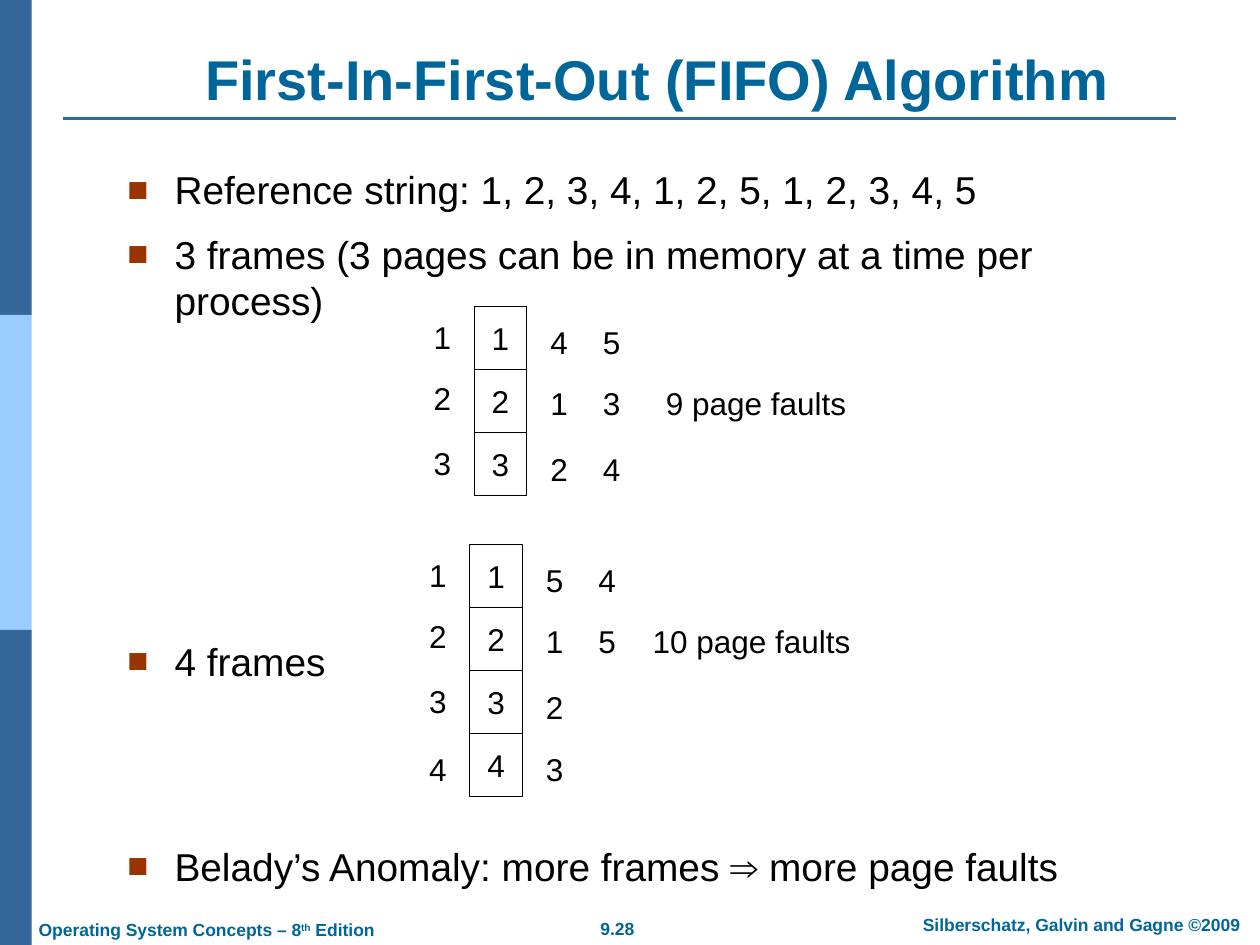
from lxml import etree
from pptx import Presentation
from pptx import util as u
from pptx.dml.color import RGBColor
from pptx.enum import shapes, text
from pptx.oxml import ns

FONT = "Arial"
TEAL, BLUE, SKY = "006699", "336699", "99CCFF"
BLACK, WHITE, RUST = "000000", "FFFFFF", "993300"
CELL_WIDTH, CELL_HEIGHT = 1.06, 1.27
NUMBER_WIDTH, NUMBER_HEIGHT = 0.86, 1.02
LABEL_ROWS = (0.11, 1.33, 2.65, 4.02)
VALUE_ROWS = (0.21, 1.44, 2.76, 4.02)
LABEL_OFFSET, VALUE_OFFSET, VALUE_STEP = -1.07, 1.28, 1.06


def color(code):
    return RGBColor.from_string(code)


def cm(*lengths):
    return [u.Cm(length) for length in lengths]


def style(span, size, code, bold=False):
    span.font.name = FONT
    span.font.size = u.Pt(size)
    span.font.bold = bold
    span.font.color.rgb = color(code)


def add_text(page, box, words, size, code=BLACK, bold=False,
             align=text.PP_ALIGN.CENTER, anchor=text.MSO_ANCHOR.MIDDLE, wrap=False):
    frame = page.shapes.add_textbox(*cm(*box)).text_frame
    frame.word_wrap = wrap
    frame.vertical_anchor = anchor
    frame.text = words
    para = frame.paragraphs[0]
    para.alignment = align
    style(para.runs[0], size, code, bold)
    return para


def add_rectangle(page, box, fill, line=None):
    shape = page.shapes.add_shape(shapes.MSO_SHAPE.RECTANGLE, *cm(*box))
    shape.shadow.inherit = False
    shape.fill.solid()
    shape.fill.fore_color.rgb = color(fill)
    if line:
        shape.line.color.rgb = color(line)
        shape.line.width = u.Pt(0.75)
    else:
        shape.line.fill.background()
    return shape


def add_sidebar(page, left, top, width, height):
    band = height / 3
    for row, fill in enumerate((BLUE, SKY, BLUE)):
        add_rectangle(page, (left, top + row * band, width, band), fill)


def add_title(page, left, top, width, height):
    add_text(page, (left, top, width, height), "First-In-First-Out (FIFO) Algorithm",
             32, TEAL, True, anchor=text.MSO_ANCHOR.BOTTOM)
    rule_y = top + height + 0.02
    rule = page.shapes.add_connector(
        shapes.MSO_CONNECTOR.STRAIGHT, *cm(1.27, rule_y, 23.7, rule_y))
    rule.line.color.rgb = color(BLUE)
    rule.line.width = u.Pt(1.5)
    etree.SubElement(rule._element.spPr, ns.qn("a:effectLst"))


def add_bullet(para):
    properties = para._p.get_or_add_pPr()
    properties.set("marL", str(u.Cm(0.95)))
    properties.set("indent", str(u.Cm(-0.95)))
    bullet_color = etree.SubElement(properties, ns.qn("a:buClr"))
    etree.SubElement(bullet_color, ns.qn("a:srgbClr"), val=RUST)
    etree.SubElement(properties, ns.qn("a:buSzPct"), val="90000")
    etree.SubElement(properties, ns.qn("a:buFont"), typeface=FONT)
    etree.SubElement(properties, ns.qn("a:buChar"), char="■")


def add_points(page, left, top, width, height):
    """Bulleted statements; the large gaps leave room for the frame diagrams."""
    points = (
        ("Reference string: 1, 2, 3, 4, 1, 2, 5, 1, 2, 3, 4, 5", 0),
        ("3 frames (3 pages can be in memory at a time per process)", 10.5),
        ("4 frames", 180),
        ("Belady’s Anomaly: more frames ⇒ more page faults", 91),
    )
    frame = page.shapes.add_textbox(*cm(left, top, width, height)).text_frame
    frame.word_wrap = True
    for index, (words, gap) in enumerate(points):
        para = frame.add_paragraph() if index else frame.paragraphs[0]
        para.text = words
        add_bullet(para)
        para.line_spacing = u.Pt(26.3)
        para.space_before = u.Pt(gap)
        style(para.runs[0], 22.2, BLACK)


def add_frames(page, left, top, columns, caption, caption_box):
    """Stack of memory frames with row labels, later pages and a fault count."""
    labels, *values = columns
    for row, label in enumerate(labels):
        cell = add_rectangle(
            page, (left, top + row * CELL_HEIGHT, CELL_WIDTH, CELL_HEIGHT), WHITE, BLACK)
        frame = cell.text_frame
        frame.word_wrap = False
        frame.vertical_anchor = text.MSO_ANCHOR.MIDDLE
        frame.text = label
        frame.paragraphs[0].alignment = text.PP_ALIGN.CENTER
        style(frame.paragraphs[0].runs[0], 18, BLACK)
    placed = [(labels, LABEL_OFFSET, LABEL_ROWS)]
    placed += [(column, VALUE_OFFSET + index * VALUE_STEP, VALUE_ROWS)
               for index, column in enumerate(values)]
    for column, offset, rows in placed:
        for number, row_y in zip(column, rows):
            add_text(page, (left + offset, top + row_y, NUMBER_WIDTH, NUMBER_HEIGHT),
                     number, 18)
    offset, width = caption_box
    add_text(page, (left + offset, top + VALUE_ROWS[1], width, NUMBER_HEIGHT), caption, 18)


def add_footer(page, left, top):
    def note(x, y, width, words, align=text.PP_ALIGN.CENTER):
        return add_text(page, (left + x, top + y, width, 0.69), words, 10, TEAL, True,
                        align, text.MSO_ANCHOR.TOP, wrap=True)

    note(10.67, 0.09, 2.49, "9.28")
    note(17.4, 0.02, 7.74, "Silberschatz, Galvin and Gagne ©2009")
    edition = note(0, 0.12, 8.2, "Operating System Concepts – 8", text.PP_ALIGN.LEFT)
    for words in ("th", " Edition"):
        span = edition.add_run()
        span.text = words
        style(span, 10, TEAL, True)
    edition.runs[1].font._element.set("baseline", "30000")


def main():
    deck = Presentation()
    deck.slide_width, deck.slide_height = cm(25.4, 19.05)
    page = deck.slides.add_slide(deck.slide_layouts[6])
    add_sidebar(page, 0, 0, 0.64, 19.05)
    add_footer(page, 0.53, 18.29)
    add_title(page, 2.39, 0.77, 21.72, 1.6)
    add_points(page, 2.32, 3.23, 19.53, 15.7)
    add_frames(page, 9.56, 6.18, ("123", "412", "534"), "9 page faults", (3.61, 4.14))
    add_frames(page, 9.47, 10.98, ("1234", "5123", "45"), "10 page faults", (3.43, 4.5))
    deck.save("out.pptx")


if __name__ == "__main__":
    main()
